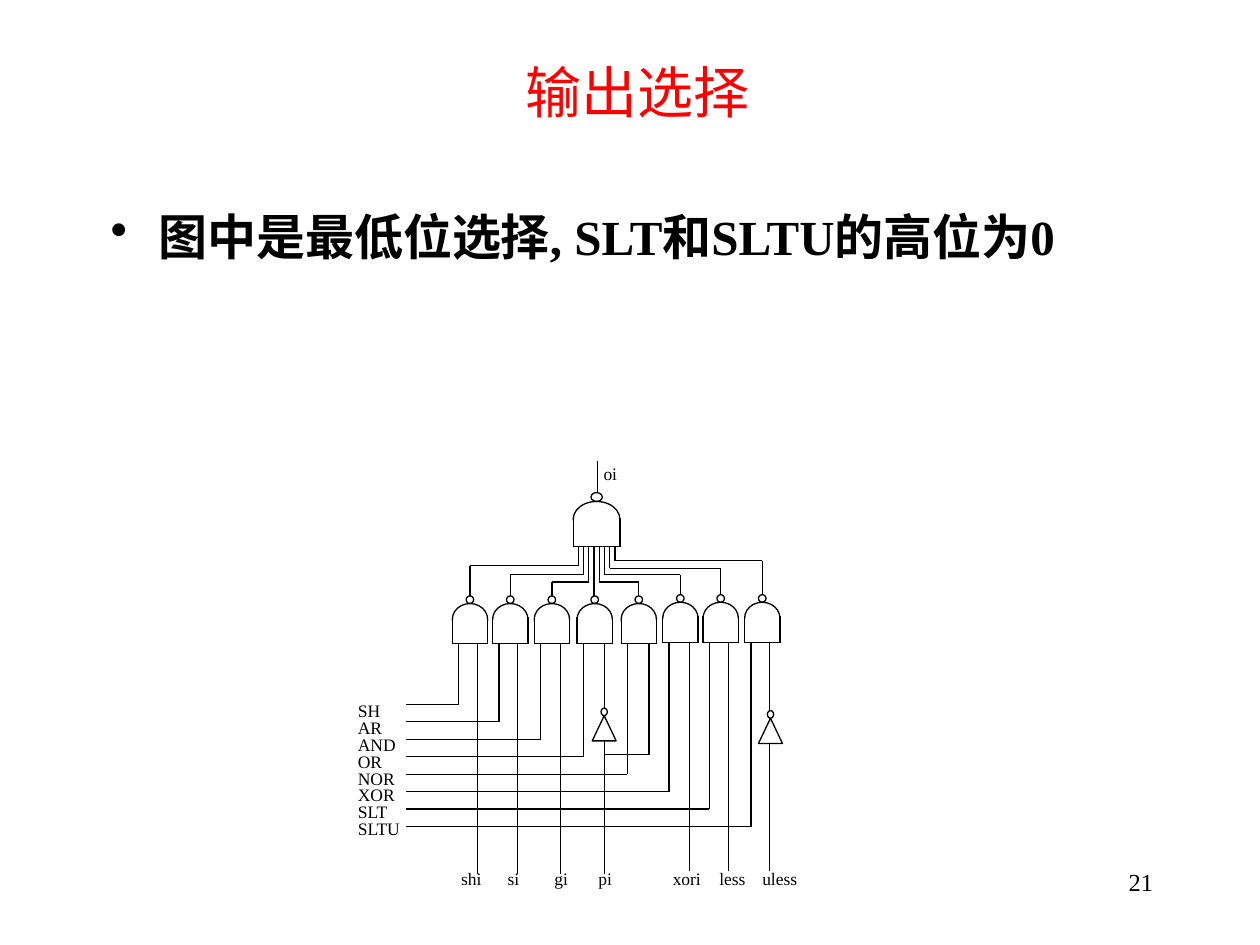
from dataclasses import dataclass
from typing import Any, Optional

from lxml import etree
from pptx import Presentation
from pptx.dml.color import RGBColor
from pptx.enum import shapes as kinds, text as txt
from pptx.oxml.ns import qn
from pptx.util import Inches, Pt


@dataclass(frozen=True)
class Theme:
    ink: RGBColor = RGBColor(0, 0, 0)
    paper: RGBColor = RGBColor(255, 255, 255)
    accent: RGBColor = RGBColor(255, 0, 0)
    serif: str = "Times New Roman"
    sans: str = "Arial"
    title: Any = Pt(32)
    body: Any = Pt(28)
    number: Any = Pt(14)
    label: Any = Pt(10)
    wire: Any = Pt(0.75)


@dataclass(frozen=True)
class GateStyle:
    """Sizes of a NAND gate; offsets count from the top of its dome."""
    width: float
    dome: float
    base: float
    mask: float
    bubble_width: float
    bubble_height: float


@dataclass(frozen=True)
class Channel:
    """One selector gate with its select, data and output wires."""
    select: str
    left: float
    top: float
    data_x: float
    data_end: float
    bus_y: Optional[float]


@dataclass(frozen=True)
class Inverter:
    left: float
    top: float


THEME = Theme()
SMALL = GateStyle(0.28, 0.25, 0.32, 0.13, 0.06, 0.06)
LARGE = GateStyle(0.37, 0.28, 0.36, 0.15, 0.09, 0.07)
OUTPUT_LEFT, OUTPUT_TOP = 4.55, 3.98

CHANNELS = [
    Channel("SH", 3.59, 4.79, 3.79, 6.94, 4.49),
    Channel("AR", 3.91, 4.79, 4.11, 6.94, 4.56),
    Channel("AND", 4.24, 4.79, 4.45, 6.94, 4.62),
    Channel("OR", 4.58, 4.79, 4.80, 6.94, None),
    Channel("NOR", 4.93, 4.79, 5.15, 5.99, 4.62),
    Channel("XOR", 5.26, 4.78, 5.47, 6.91, 4.56),
    Channel("SLT", 5.58, 4.78, 5.78, 6.91, 4.51),
    Channel("SLTU", 5.91, 4.78, 6.11, 6.91, 4.45),
]
INVERTERS = [Inverter(4.70, 5.68), Inverter(6.02, 5.70)]
DATA_LABELS = {"shi": 3.66, "si": 4.03, "gi": 4.40, "pi": 4.75,
               "xori": 5.34, "less": 5.71, "uless": 6.05}

LABEL_FONT = {"name": THEME.serif, "size": THEME.label}
LABEL_PARAGRAPH = {"alignment": txt.PP_ALIGN.JUSTIFY, "line_spacing": 0.8}
NO_MARGINS = dict.fromkeys(
    ("margin_left", "margin_top", "margin_right", "margin_bottom"), 0)


def apply(target: Any, values: dict) -> None:
    for key, value in values.items():
        setattr(target, key, value)


def write(shape: Any, lines: list, font: dict, paragraph: dict,
          frame: dict, color: RGBColor = THEME.ink) -> None:
    body = shape.text_frame
    apply(body, {"word_wrap": True, **frame})
    for index, line in enumerate(lines):
        part = body.add_paragraph() if index else body.paragraphs[0]
        apply(part, paragraph)
        run = part.add_run()
        run.text = line
        apply(run.font, font)
        run.font.color.rgb = color


def add_text(slide: Any, box: tuple, lines: list, font: dict,
             paragraph: dict, frame: dict) -> Any:
    shape = slide.shapes.add_textbox(*map(Inches, box))
    write(shape, lines, font, paragraph, frame)
    return shape.text_frame.paragraphs[0]


def add_wire(slide: Any, *points: tuple) -> None:
    """Draw straight segments through the points."""
    for start, end in zip(points, points[1:]):
        wire = slide.shapes.add_connector(
            kinds.MSO_CONNECTOR.STRAIGHT, *map(Inches, start + end))
        wire.line.color.rgb = THEME.ink
        wire.line.width = THEME.wire
        etree.SubElement(wire._element.spPr, qn("a:effectLst"))


def add_part(slide: Any, kind: Any, box: tuple, filled: bool = True,
             outlined: bool = True) -> Any:
    part = slide.shapes.add_shape(kind, *map(Inches, box))
    part.shadow.inherit = False
    if filled:
        part.fill.solid()
        part.fill.fore_color.rgb = THEME.paper
    else:
        part.fill.background()
    if outlined:
        part.line.color.rgb = THEME.ink
        part.line.width = THEME.wire
    else:
        part.line.fill.background()
    return part


def add_gate(slide: Any, left: float, top: float, style: GateStyle) -> None:
    shape = kinds.MSO_SHAPE
    right, base = left + style.width, top + style.base
    shoulder = top + style.mask - 0.02
    add_part(slide, shape.OVAL, (left, top, style.width, style.dome))
    # The mask hides the lower half of the dome
    add_part(slide, shape.RECTANGLE,
             (left, top + style.mask, style.width, style.mask), outlined=False)
    add_wire(slide, (left, shoulder), (left, base), (right, base), (right, shoulder))
    add_part(slide, shape.OVAL,
             (left + (style.width - style.bubble_width) / 2, top - style.bubble_height,
              style.bubble_width, style.bubble_height), filled=False)


def add_inverter(slide: Any, inverter: Inverter) -> None:
    triangle = add_part(slide, kinds.MSO_SHAPE.FLOWCHART_MERGE,
                        (inverter.left, inverter.top, 0.19, 0.2))
    triangle.rotation = 180
    add_part(slide, kinds.MSO_SHAPE.OVAL,
             (inverter.left + 0.07, inverter.top - 0.06, 0.05, 0.06))


def add_channel_wires(slide: Any, index: int, channel: Channel) -> None:
    steps = len(CHANNELS) - 1
    port_x = 4.59 + 0.29 * index / steps
    select_y = 5.59 + 0.97 * index / steps
    base = channel.top + SMALL.base
    select_x = channel.left + 0.05
    drop_x = channel.left + SMALL.width / 2
    port = (port_x, OUTPUT_TOP + LARGE.base)
    bubble_top = channel.top - SMALL.bubble_height
    add_wire(slide, (3.22, select_y), (select_x, select_y), (select_x, base))
    add_wire(slide, (channel.data_x, channel.data_end), (channel.data_x, base))
    if channel.bus_y is None:
        add_wire(slide, port, (port_x, bubble_top))
    else:
        add_wire(slide, port, (port_x, channel.bus_y),
                 (drop_x, channel.bus_y), (drop_x, bubble_top))


def add_bullet(paragraph: Any) -> None:
    props = paragraph._p.get_or_add_pPr()
    props.set("marL", str(Inches(0.38)))
    props.set("indent", str(Inches(-0.38)))
    etree.SubElement(props, qn("a:buChar"), char="•")


def add_tab_stops(paragraph: Any, stops: list) -> None:
    tabs = etree.SubElement(paragraph._p.get_or_add_pPr(), qn("a:tabLst"))
    for stop in stops:
        etree.SubElement(tabs, qn("a:tab"), pos=str(Inches(stop)), algn="l")


def main() -> None:
    deck = Presentation()
    deck.slide_width, deck.slide_height = Inches(10), Inches(7.5)
    slide = deck.slides.add_slide(deck.slide_layouts[5])

    # Title, statement and page number
    title = slide.shapes.title
    apply(title, {"left": Inches(0.81), "top": Inches(0.1),
                  "width": Inches(8.5), "height": Inches(1.25)})
    write(title, ["输出选择"], {"name": THEME.sans, "size": THEME.title},
          {"alignment": txt.PP_ALIGN.CENTER},
          {"vertical_anchor": txt.MSO_ANCHOR.MIDDLE}, THEME.accent)
    statement = add_text(
        slide, (0.78, 1.54, 8.5, 0.97), ["图中是最低位选择, SLT和SLTU的高位为0"],
        {"name": THEME.serif, "size": THEME.body, "bold": True},
        {"line_spacing": 1.1, "space_before": Pt(3.5)}, {})
    add_bullet(statement)
    add_text(slide, (7.17, 6.83, 2.08, 0.5), ["21"],
             {"name": THEME.serif, "size": THEME.number},
             {"alignment": txt.PP_ALIGN.RIGHT}, {})

    # Wires, then the gates over them
    for index, channel in enumerate(CHANNELS):
        add_channel_wires(slide, index, channel)
    add_wire(slide, (4.8, 5.99), (5.15, 5.99))
    add_wire(slide, (4.74, 3.91), (4.74, 3.66))
    add_gate(slide, OUTPUT_LEFT, OUTPUT_TOP, LARGE)
    for channel in CHANNELS:
        add_gate(slide, channel.left, channel.top, SMALL)
    for inverter in INVERTERS:
        add_inverter(slide, inverter)

    # Signal names
    label_format = (LABEL_FONT, LABEL_PARAGRAPH, NO_MARGINS)
    add_text(slide, (4.79, 3.71, 0.13, 0.17), ["oi"], *label_format)
    add_text(slide, (2.84, 5.59, 0.59, 1.33),
             [channel.select for channel in CHANNELS], *label_format)
    first, *others = DATA_LABELS.values()
    data_names = add_text(slide, (first, 6.92, 3.4, 0.23),
                          ["\t".join(DATA_LABELS)], *label_format)
    add_tab_stops(data_names, [x - first for x in others])

    deck.save("out.pptx")


if __name__ == "__main__":
    main()
